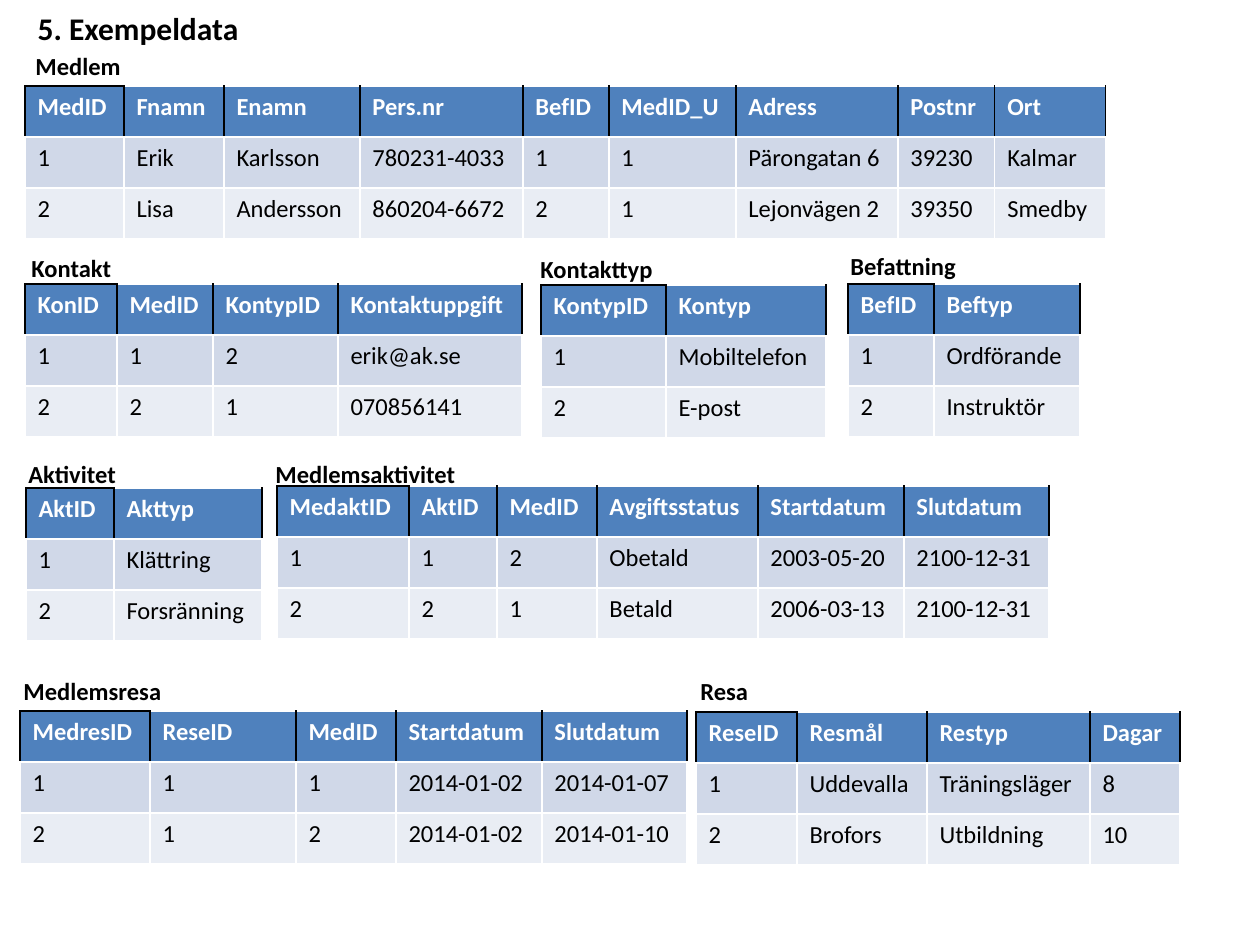
"""Build the sample data slide of the club database."""
from dataclasses import dataclass

from lxml.etree import SubElement as Sub
from pptx import Presentation
from pptx.dml.color import RGBColor as RGB
from pptx.enum.text import MSO_ANCHOR as Anchor, MSO_AUTO_SIZE as Fit, PP_ALIGN as Align
from pptx.oxml.ns import qn
from pptx.util import Inches, Pt

SCALE = Inches(1) / 126


@dataclass(frozen=True)
class Theme:
    font: str = "Calibri"
    big: int = 18
    body: int = 14
    ink: str = "000000"
    paper: str = "FFFFFF"
    head: str = "4F81BD"
    bands: tuple = ("D0D8E8", "E9EDF4")
    row: int = 51
    label: int = 43


THEME = Theme()

TABLES = [
    ("Medlem", (23, 45, 190), (25, 86), (99, 100, 136, 163, 86, 127, 162, 97, 111), [
        ("MedID", "Fnamn", "Enamn", "Pers.nr", "BefID", "MedID_U", "Adress", "Postnr", "Ort"),
        ("1", "Erik", "Karlsson", "780231-4033", "1", "1", "Pärongatan 6", "39230", "Kalmar"),
        ("2", "Lisa", "Andersson", "860204-6672", "2", "1", "Lejonvägen 2", "39350", "Smedby")]),
    ("Kontakt", (19, 247, 189), (25, 284), (92, 96, 125, 184), [
        ("KonID", "MedID", "KontypID", "Kontaktuppgift"),
        ("1", "1", "2", "erik@ak.se"),
        ("2", "2", "1", "070856141")]),
    ("Kontakttyp", (528, 248, 189), (541, 285), (125, 160), [
        ("KontypID", "Kontyp"), ("1", "Mobiltelefon"), ("2", "E-post")]),
    ("Befattning", (838, 245, 189), (848, 284), (86, 146), [
        ("BefID", "Beftyp"), ("1", "Ordförande"), ("2", "Instruktör")]),
    ("Aktivitet", (16, 453, 189), (26, 488), (88, 148), [
        ("AktID", "Akttyp"), ("1", "Klättring"), ("2", "Forsränning")]),
    ("Medlemsaktivitet", (263, 453, 215), (277, 486), (132, 88, 100, 161, 146, 145), [
        ("MedaktID", "AktID", "MedID", "Avgiftsstatus", "Startdatum", "Slutdatum"),
        ("1", "1", "2", "Obetald", "2003-05-20", "2100-12-31"),
        ("2", "2", "1", "Betald", "2006-03-13", "2100-12-31")]),
    ("Medlemsresa", (11, 670, 189), (20, 711), (130, 146, 100, 146, 145), [
        ("MedresID", "ReseID", "MedID", "Startdatum", "Slutdatum"),
        ("1", "1", "1", "2014-01-02", "2014-01-07"),
        ("2", "1", "2", "2014-01-02", "2014-01-10")]),
    ("Resa", (688, 670, 189), (696, 712), (101, 130, 163, 90), [
        ("ReseID", "Resmål", "Restyp", "Dagar"),
        ("1", "Uddevalla", "Träningsläger", "8"),
        ("2", "Brofors", "Utbildning", "10")]),
]


def px(num):
    return round(num * SCALE)


def style(para, size, color, bold):
    font = para.font
    font.name, font.size, font.bold = THEME.font, Pt(size), bold
    font.color.rgb = RGB.from_string(color)


def write(shape, text, size):
    frame = shape.text_frame
    frame.text = text
    frame.word_wrap = True
    frame.auto_size = Fit.SHAPE_TO_FIT_TEXT
    frame.vertical_anchor = Anchor.TOP
    para = frame.paragraphs[0]
    para.alignment = Align.LEFT
    style(para, size, THEME.ink, True)


def add_title(slide, text):
    title = slide.shapes.title
    title.left, title.top, title.width, title.height = map(px, (25, 3, 893, 50))
    write(title, text, THEME.big)


def add_label(slide, text, left, top, width):
    box = slide.shapes.add_textbox(*map(px, (left, top, width, THEME.label)))
    write(box, text, THEME.body)


def edge(cell, sides, color):
    props = cell._tc.get_or_add_tcPr()
    for side in sides:
        line = Sub(props, qn(f"a:ln{side}"), w=str(Pt(1)))
        Sub(Sub(line, qn("a:solidFill")), qn("a:srgbClr"), val=color)


def paint(cell, text, row, col):
    cell.text = text
    if row == 0:
        ink, back, line = THEME.paper, THEME.head, THEME.ink
        sides = "LRTB" if col == 0 else "LRB"
    else:
        ink, back, line = THEME.ink, THEME.bands[row - 1], THEME.paper
        sides = "LRB" if row == 1 else "LRTB"
    edge(cell, sides, line)
    cell.fill.solid()
    cell.fill.fore_color.rgb = RGB.from_string(back)
    style(cell.text_frame.paragraphs[0], THEME.body, ink, row == 0)


def add_grid(slide, spot, widths, rows):
    size = sum(widths), THEME.row * len(rows)
    table = slide.shapes.add_table(len(rows), len(widths), *map(px, spot + size)).table
    for col, width in zip(table.columns, widths):
        col.width = px(width)
    for r, texts in enumerate(rows):
        table.rows[r].height = px(THEME.row)
        for c, text in enumerate(texts):
            paint(table.cell(r, c), text, r, c)


def main():
    deck = Presentation()
    deck.slide_width, deck.slide_height = Inches(10), Inches(7.5)
    slide = deck.slides.add_slide(deck.slide_layouts[5])
    add_title(slide, "5. Exempeldata")
    for name, place, spot, widths, rows in TABLES:
        add_grid(slide, spot, widths, rows)
        add_label(slide, name, *place)
    deck.save("out.pptx")


main()
